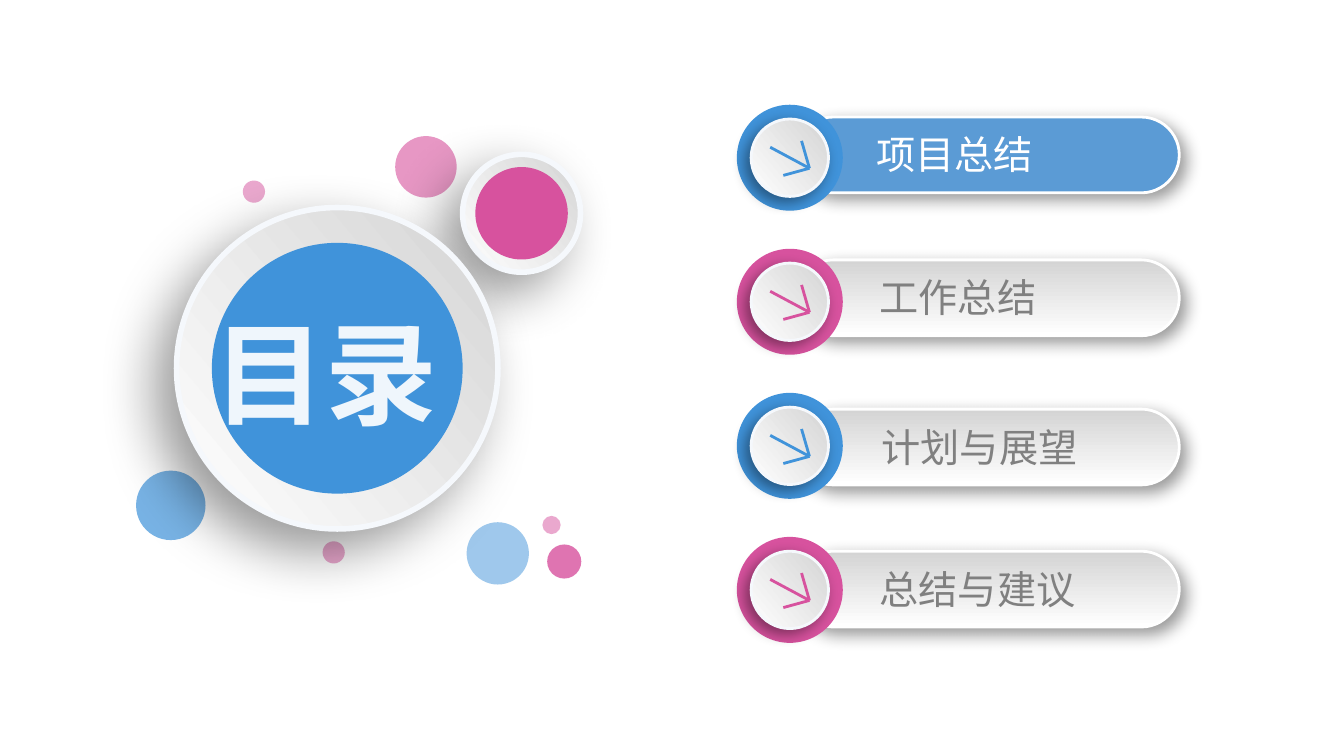
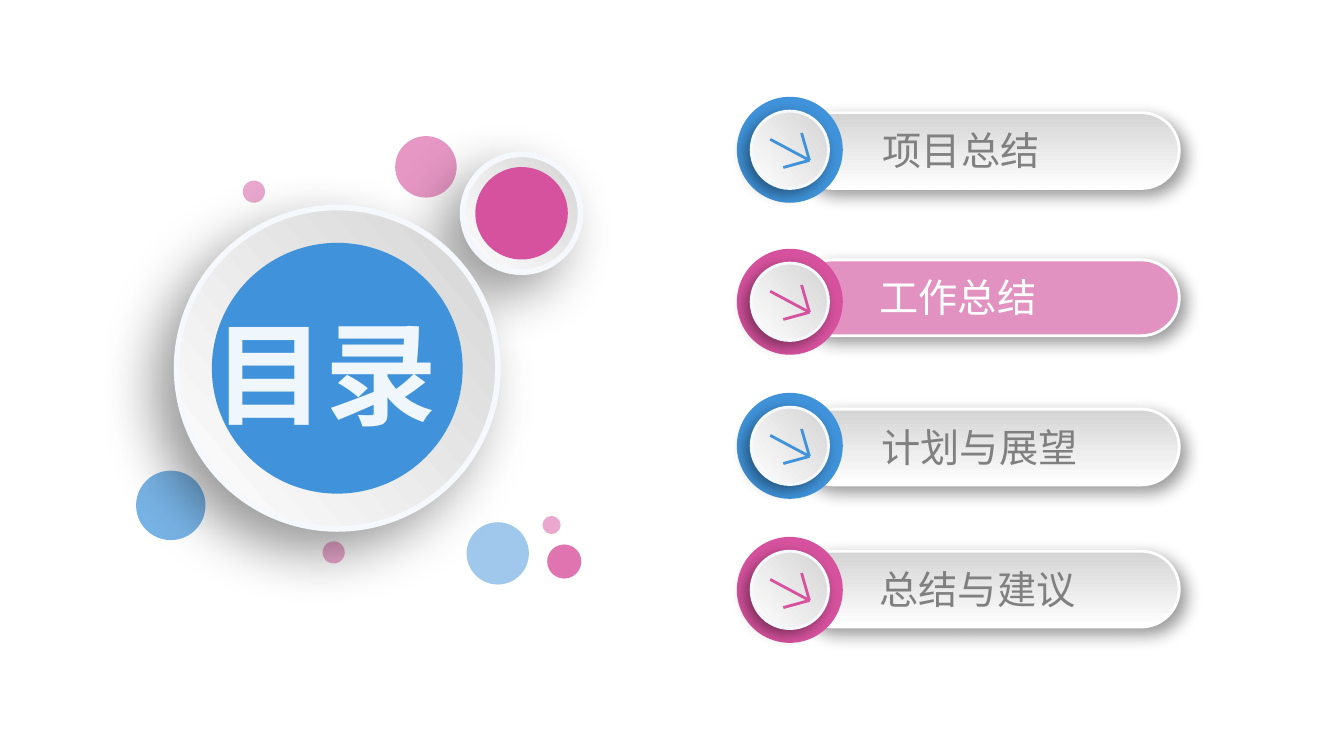
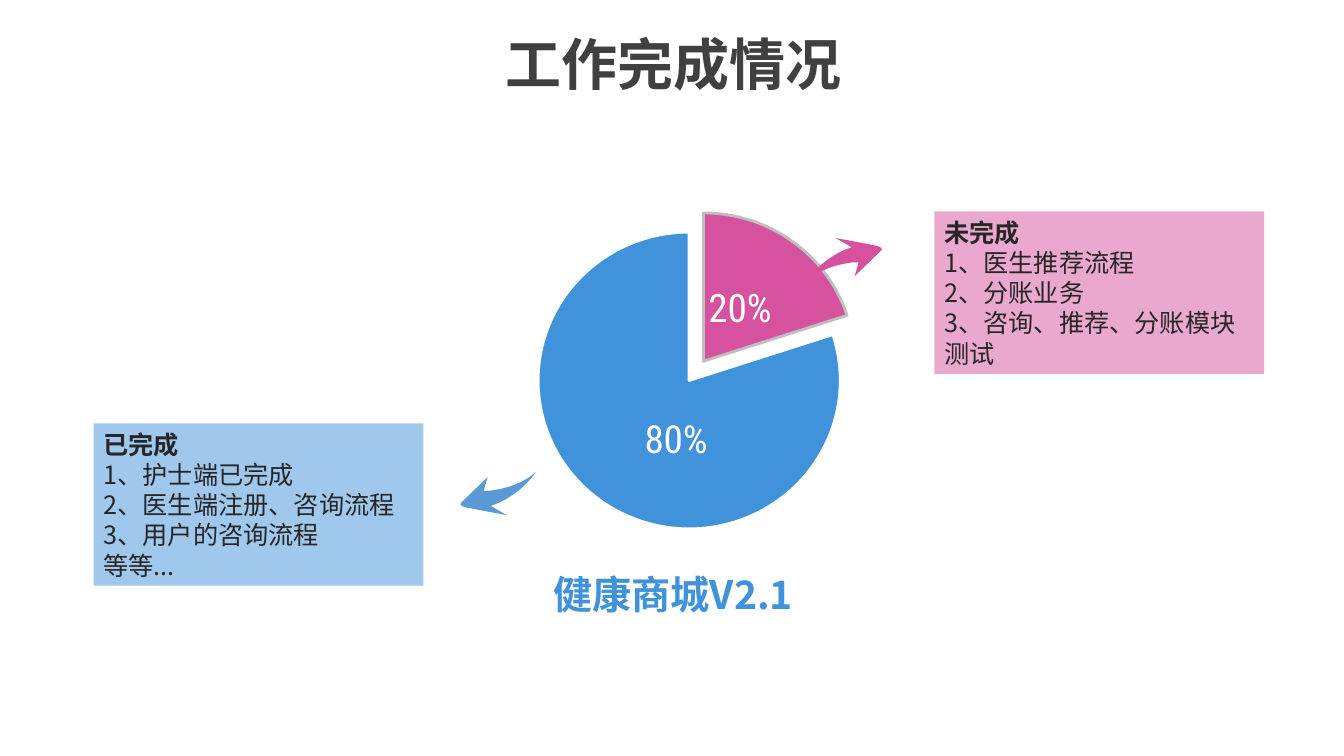
from lxml import etree
from pptx import Presentation
from pptx import util as u
from pptx.chart.data import CategoryChartData
from pptx.dml.color import RGBColor
from pptx.enum import chart as ch, shapes, text
from pptx.oxml import parse_xml
from pptx.oxml.ns import nsdecls, qn

rgb = RGBColor.from_string
BLUE, PINK, WHITE, GREY = "4093DA", "D7529E", "FFFFFF", "808080"
SILVER = (WHITE, "D4D4D4")
RIM = "F5F8FC"
CJK = "Noto Sans CJK SC"
OVAL = shapes.MSO_SHAPE.OVAL


def paint(sp, fill, alpha=100, angle=40, line=None, shadow=None):
    """fill: hex or gradient pair; line: (hex, pt); shadow: (blur, distance, direction)."""
    sp.shadow.inherit = False
    if isinstance(fill, tuple):
        sp.fill.gradient()
        sp.fill.gradient_angle = angle
        for stop, colour in zip(sp.fill.gradient_stops, fill):
            stop.color.rgb = rgb(colour)
    else:
        sp.fill.solid()
        sp.fill.fore_color.rgb = rgb(fill)
    spPr = sp._element.spPr
    if alpha < 100:
        etree.SubElement(spPr.find(".//" + qn("a:srgbClr")), qn("a:alpha"), val=str(alpha * 1000))
    if line:
        sp.line.color.rgb = rgb(line[0])
        sp.line.width = u.Pt(line[1])
    else:
        sp.line.fill.background()
    if shadow:
        blur, dist, direction = shadow
        spPr.find(qn("a:effectLst")).append(parse_xml(
            f'<a:outerShdw {nsdecls("a")} blurRad="{u.Pt(blur)}" dist="{u.Pt(dist)}" '
            f'dir="{direction * 60000}" algn="ctr" rotWithShape="0"><a:srgbClr val="000000">'
            '<a:alpha val="40000"/></a:srgbClr></a:outerShdw>'))
    return sp


def write(sp, lines, size, colour, font=CJK, bold=(), align=text.PP_ALIGN.LEFT, wrap=True):
    """bold holds the numbers of the bold lines."""
    tf = sp.text_frame
    tf.word_wrap = wrap
    for i, line in enumerate(lines):
        p = tf.add_paragraph() if i else tf.paragraphs[0]
        p.add_run().text = line
        p.alignment = align
        p.font.size = u.Pt(size)
        p.font.bold = i in bold
        p.font.color.rgb = rgb(colour)
        p.font.name = font
        etree.SubElement(p._p.pPr.find(qn("a:defRPr")), qn("a:ea"), typeface=CJK)


prs = Presentation()
prs.slide_width, prs.slide_height = u.Cm(33.87), u.Cm(19.05)
blank = prs.slide_layouts[6]

# Contents slides: label, bar top, label left, button top
menu = [
    ("项目总结", 2.95, 21.84, 2.64),
    ("工作总结", 6.55, 21.92, 6.27),
    ("计划与展望", 10.31, 21.97, 9.9),
    ("总结与建议", 13.89, 21.92, 13.53),
]
raised_first = ("项目总结", 2.84, 22.0, 2.44)
dots = [  # left, top, diameter, colour, opacity
    (3.43, 11.86, 1.75, BLUE, 70),
    (9.96, 3.43, 1.55, PINK, 60),
    (6.12, 4.55, 0.56, PINK, 50),
    (13.79, 13.72, 0.86, PINK, 80),
    (11.76, 13.16, 1.57, BLUE, 50),
    (8.13, 13.64, 0.56, PINK, 50),
    (13.67, 13.0, 0.46, PINK, 50),
]
discs = [  # left, top, diameter, rim, colour
    (11.66, 3.89, 2.97, 0.32, PINK),
    (4.45, 5.23, 8.1, 0.89, BLUE),
]
arrow_tip = (1.83, 1.6)
arrow_tails = [(0.84, 1.07), (1.63, 0.91), (1.17, 1.78)]

for rows, active, highlight in [(menu, 0, "5B9BD5"), ([raised_first] + menu[1:], 1, "E292C0")]:
    s = prs.slides.add_slide(blank)

    # Menu bars with round arrow buttons
    for i, (label, bar_top, label_left, top) in enumerate(rows):
        bar = s.shapes.add_shape(shapes.MSO_SHAPE.ROUNDED_RECTANGLE,
                                 *map(u.Cm, (20.04, bar_top, 9.68, 1.91)))
        bar.adjustments[0] = 0.5
        paint(bar, highlight if i == active else SILVER, angle=90, line=(WHITE, 2),
              shadow=(12, 6, 45))
        box = s.shapes.add_textbox(*map(u.Cm, (label_left, bar_top + 0.22, 7, 1.45)))
        write(box, [label], 28, WHITE if i == active else GREY)

        colour, left = (BLUE, PINK)[i % 2], 18.57
        paint(s.shapes.add_shape(OVAL, *map(u.Cm, (left, top, 2.67, 2.67))), colour)
        paint(s.shapes.add_shape(OVAL, *map(u.Cm, (left + 0.36, top + 0.36, 1.95, 1.95))),
              SILVER, line=(RIM, 2), shadow=(10, 5, 135))
        for tail in arrow_tails:
            ends = [u.Cm(o + d) for point in (arrow_tip, tail) for o, d in zip((left, top), point)]
            stroke = s.shapes.add_connector(shapes.MSO_CONNECTOR.STRAIGHT, *ends)
            stroke.line.color.rgb = rgb(colour)
            stroke.line.width = u.Pt(2)
            etree.SubElement(stroke._element.spPr, qn("a:effectLst"))

    # Bubbles and heading disc
    for x, y, d, colour, opacity in dots:
        paint(s.shapes.add_shape(OVAL, *map(u.Cm, (x, y, d, d))), colour, alpha=opacity)
    for x, y, d, rim, colour in discs:
        paint(s.shapes.add_shape(OVAL, *map(u.Cm, (x, y, d, d))), SILVER,
              line=(RIM, 4), shadow=(40, 20, 135))
        core = d - 2 * rim
        paint(s.shapes.add_shape(OVAL, *map(u.Cm, (x + rim, y + rim, core, core))), colour)
    heading = s.shapes.add_textbox(*map(u.Cm, (5.13, 7.54, 6.25, 3.68)))
    write(heading, ["目录"], 80, "EFF6FC", font="Arial", bold=[0], wrap=False)

# Progress slide: title
s = prs.slides.add_slide(blank)
title = s.shapes.add_textbox(*map(u.Cm, (12.47, 0.61, 9.02, 1.96)))
write(title, ["工作完成情况"], 40, "404040", bold=[0], align=text.PP_ALIGN.CENTER, wrap=False)

# Pie with the open share pulled out
data = CategoryChartData()
data.categories = ["1", "2", "3", "4"]
data.add_series("Series 1", (20, 80, None, None))
chart = s.shapes.add_chart(ch.XL_CHART_TYPE.PIE, *map(u.Cm, (10.41, 5.33, 13.13, 9.07)), data).chart
chart.has_legend = chart.has_title = False
chart.font.size, chart.font.name = u.Pt(10), "Calibri"
chart.font.color.rgb = rgb("000000")
plot = chart.plots[0]
plot.vary_by_categories = True
slices = plot.series[0].points
for i, (colour, edge) in enumerate([(PINK, "BFBFBF"), (BLUE, WHITE),
                                    ("A5A5A5", WHITE), ("FFC000", WHITE)]):
    fmt = slices[i].format
    fmt.fill.solid()
    fmt.fill.fore_color.rgb = rgb(colour)
    fmt.line.color.rgb = rgb(edge)
    fmt.line.width = u.Pt(2)
open_slice = plot.series[0]._element.find(qn("c:dPt"))
open_slice.find(qn("c:idx")).addnext(parse_xml(f'<c:explosion {nsdecls("c")} val="16"/>'))

done_label = slices[1].data_label
p = done_label.text_frame.paragraphs[0]
r = p.add_run()
r.text = "80%"
r.font.size, r.font.name = u.Pt(28), "Roboto Condensed"
r.font.color.rgb = rgb(WHITE)
done_label.position = ch.XL_LABEL_POSITION.CENTER
plot.series[0]._element.find(".//" + qn("c:dLbl")).find(qn("c:idx")).addnext(parse_xml(
    f'<c:layout {nsdecls("c")}><c:manualLayout><c:x val="0.06"/><c:y val="0"/>'
    '</c:manualLayout></c:layout>'))

plot_area = chart._chartSpace.find(".//" + qn("c:plotArea"))
for old in plot_area.findall(qn("c:layout")):
    plot_area.remove(old)
plot_area.insert(0, parse_xml(
    f'<c:layout {nsdecls("c")}><c:manualLayout><c:layoutTarget val="inner"/>'
    '<c:xMode val="edge"/><c:yMode val="edge"/><c:x val="0.24"/><c:y val="0.04"/>'
    '<c:w val="0.58"/><c:h val="0.84"/></c:manualLayout></c:layout>'))

# Caption and share of the open slice
caption = s.shapes.add_textbox(*map(u.Cm, (12.8, 14.25, 8.33, 1.4)))
write(caption, ["健康商城V2.1"], 28, BLUE, bold=[0], align=text.PP_ALIGN.CENTER)
share = s.shapes.add_textbox(*map(u.Cm, (17.6, 7.01, 2.21, 1.45)))
write(share, ["20%"], 28, WHITE, font="Roboto Condensed", wrap=False)

# Curved arrows: one outline from the tail, the second turned by 180 degrees
head = [(1.32, -0.48), (1.22, -0.13), (1.85, -0.74), (1.9, -0.79), (1.9, -0.84), (1.8, -0.89),
        (1.7, -0.91), (1.02, -1.04), (0.74, -1.09), (1.14, -0.86)]
curves = [[(1.09, -0.84), (0.43, -0.61), (0.05, -0.08), (0, 0)],
          [(0, 0), (0.3, -0.28), (0.76, -0.43), (1.19, -0.48)]]
outline = list(head)
for curve in curves:
    for t in (k / 12 for k in range(13)):
        weights = ((1 - t) ** 3, 3 * t * (1 - t) ** 2, 3 * t * t * (1 - t), t ** 3)
        outline.append(tuple(sum(w * c for w, c in zip(weights, axis)) for axis in zip(*curve)))
for x, y, turn, colour in [(13.51, 11.89, -1, "5B9BD5"), (20.32, 7.09, 1, PINK)]:
    points = [(u.Cm(x + turn * dx), u.Cm(y + turn * dy)) for dx, dy in outline]
    builder = s.shapes.build_freeform(*points[0])
    builder.add_line_segments(points[1:], close=True)
    paint(builder.convert_to_shape(), colour)

# Status boxes
for left, top, colour, lines in [
    (2.36, 10.67, BLUE, ["已完成", "1、护士端已完成", "2、医生端注册、咨询流程",
                         "3、用户的咨询流程", "等等..."]),
    (23.55, 5.33, PINK, ["未完成", "1、医生推荐流程", "2、分账业务",
                         "3、咨询、推荐、分账模块测试"]),
]:
    box = s.shapes.add_shape(shapes.MSO_SHAPE.RECTANGLE, *map(u.Cm, (left, top, 8.31, 4.09)))
    write(paint(box, colour, alpha=50), lines, 18, "262626", bold=[0])

prs.save("out.pptx")
